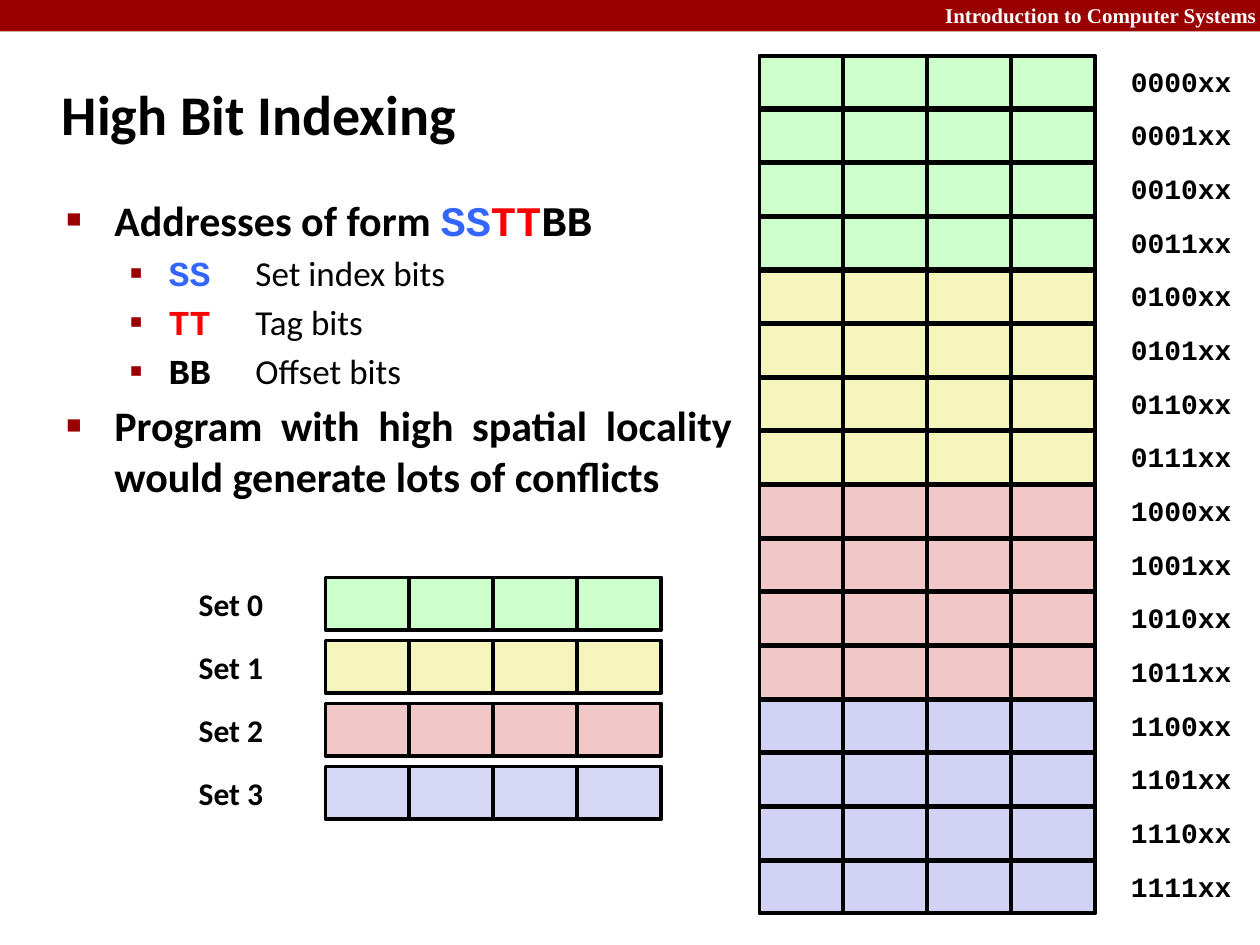
from lxml.etree import SubElement
from pptx import Presentation
from pptx.dml.color import RGBColor as Rgb
from pptx.enum.shapes import MSO_SHAPE as Shape
from pptx.enum.text import MSO_ANCHOR as Anchor, PP_ALIGN as Align
from pptx.oxml.ns import qn
from pptx.util import Inches, Pt

UNIT = Inches(1 / 12)
CELL_WIDTH, CELL_HEIGHT = 8, 5
COLORS = {
    "crimson": "990000",
    "white": "FFFFFF",
    "black": "000000",
    "blue": "3366FF",
    "red": "FF0000",
    "violet": "D2D2F4",
}
SET_FILLS = ["CCFFCC", "F6F5BD", "F1C7C7", "D6D6F5"]
MEMORY_FILLS = SET_FILLS[:3] + [COLORS["violet"]]
MONO = "Courier New"


def grid(*lengths):
    return [round(length * UNIT) for length in lengths]


def add_span(para, text, size=24, font="Calibri", color="black", bold=True):
    span = para.add_run()
    span.text = text
    span.font.size = Pt(size)
    span.font.name = font
    span.font.bold = bold
    span.font.color.rgb = Rgb.from_string(COLORS[color])


def add_frame(page, place, anchor=Anchor.TOP):
    frame = page.shapes.add_textbox(*grid(*place)).text_frame
    frame.word_wrap = True
    frame.vertical_anchor = anchor
    return frame


def add_label(page, text, place, align=Align.CENTER, anchor=Anchor.MIDDLE, **style):
    para = add_frame(page, place, anchor).paragraphs[0]
    para.alignment = align
    add_span(para, text, **style)


def add_rect(shapes, place, fill, outlined=True):
    box = shapes.add_shape(Shape.RECTANGLE, *grid(*place))
    box.shadow.inherit = False
    box.fill.solid()
    box.fill.fore_color.rgb = Rgb.from_string(fill)
    if outlined:
        box.line.color.rgb = Rgb.from_string(COLORS["black"])
        box.line.width = Pt(2.25)
    else:
        box.line.fill.background()


def add_block(page, left, top, fill):
    group = page.shapes.add_group_shape()
    for column in range(4):
        place = (left + column * CELL_WIDTH, top, CELL_WIDTH, CELL_HEIGHT)
        add_rect(group.shapes, place, fill)


def add_bullet(para, mark, percent, margin, hang):
    props = para._p.get_or_add_pPr()
    props.set("marL", str(Inches(margin)))
    props.set("indent", str(-Inches(hang)))
    color = SubElement(props, qn("a:buClr"))
    SubElement(color, qn("a:srgbClr"), val=COLORS["crimson"])
    SubElement(props, qn("a:buSzPct"), val=str(percent * 1000))
    SubElement(props, qn("a:buFont"), typeface="Times New Roman")
    SubElement(props, qn("a:buChar"), char=mark)


def add_point(frame, spans, level=0, align=Align.LEFT):
    first = not frame.paragraphs[0].runs
    para = frame.paragraphs[0] if first else frame.add_paragraph()
    size = 20 if level else 24
    if level:
        add_bullet(para, "▪", 110, 0.81, 0.31)
    else:
        add_bullet(para, "■", 60, 0.38, 0.38)
    para.level = level
    para.alignment = align
    para.space_before = Pt(0 if first else size * 0.2)
    for text, style in spans:
        add_span(para, text, size=size, **style)


def add_body(page):
    frame = add_frame(page, (5.15, 17.9, 65.75, 14.2))
    fields = [
        ("SS", "blue", "Set index bits"),
        ("TT", "red", "Tag bits"),
        ("BB", "black", "Offset bits"),
    ]
    codes = [(code, {"font": MONO, "color": color}) for code, color, _ in fields]
    add_point(frame, [("Addresses of form ", {})] + codes)
    for code, (_, _, meaning) in zip(codes, fields):
        add_point(frame, [code, ("\t" + meaning, {"bold": False})], level=1)
    conflict = "Program with high spatial locality would generate lots of conflicts"
    add_point(frame, [(conflict, {})], align=Align.JUSTIFY)


def add_sets(page):
    for index, fill in enumerate(SET_FILLS):
        top = 55 + index * 6
        add_block(page, 31, top, fill)
        add_label(page, f"Set {index}", (16, top, 12, CELL_HEIGHT), size=18)


def add_memory(page):
    for index in range(16):
        top = 5.33 + index * 5.11
        add_block(page, 72.33, top, MEMORY_FILLS[index // 4])
        place = (106, top - 0.1, 13, CELL_HEIGHT)
        add_label(page, f"{index:04b}xx", place, size=16, font=MONO)


def main():
    deck = Presentation()
    deck.slide_width, deck.slide_height = grid(120, 90)
    page = deck.slides.add_slide(deck.slide_layouts[6])
    add_rect(page.shapes, (0, 0, 120, 3), COLORS["crimson"], outlined=False)
    add_label(page, "Introduction to Computer Systems", (72, -0.35, 48.85, 3.6),
              align=Align.RIGHT, anchor=Anchor.TOP, size=12,
              font="Times New Roman", color="white")
    add_label(page, "High Bit Indexing", (4.7, 5.75, 65.3, 10),
              align=Align.LEFT, size=32)
    add_body(page)
    add_sets(page)
    add_memory(page)
    deck.save("out.pptx")


if __name__ == "__main__":
    main()
